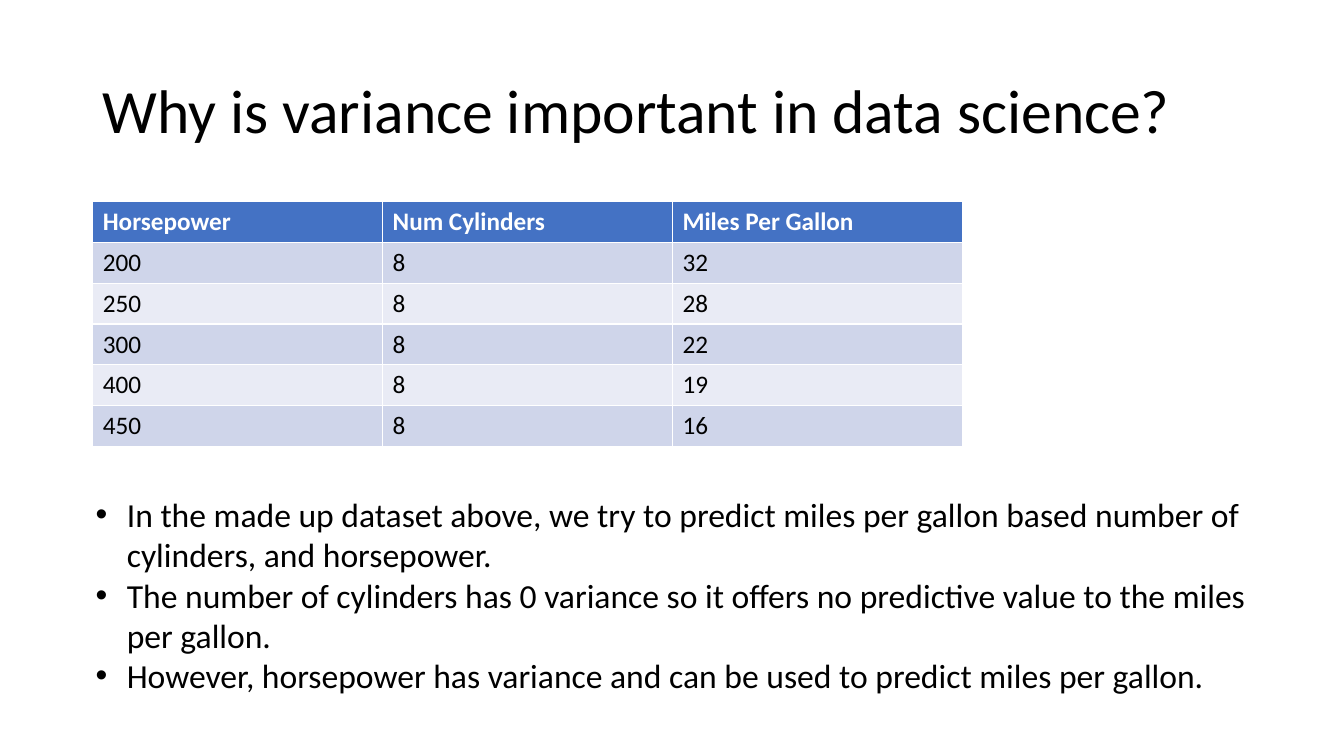
from dataclasses import dataclass

import pptx
import pptx.dml.color
import pptx.enum.text
import pptx.oxml
import pptx.oxml.ns
import pptx.util

Inches = pptx.util.Inches
Pt = pptx.util.Pt
RGBColor = pptx.dml.color.RGBColor
Anchor = pptx.enum.text.MSO_ANCHOR

BLACK = RGBColor(0x00, 0x00, 0x00)
WHITE = RGBColor(0xFF, 0xFF, 0xFF)
HEADER_BLUE = RGBColor(0x44, 0x72, 0xC4)
BANDS = (RGBColor(0xCF, 0xD5, 0xEA), RGBColor(0xE9, 0xEB, 0xF5))

HEADER_FONT = {"name": "Calibri", "size": Pt(18), "bold": True, "color": WHITE}
CELL_FONT = {"name": "Calibri", "size": Pt(18), "bold": False, "color": BLACK}

COL_W, ROW_H = 2.875, 0.405
BULLET_INDENT = Inches(0.31)

ROWS = [
    ("Horsepower", "Num Cylinders", "Miles Per Gallon"),
    ("200", "8", "32"),
    ("250", "8", "28"),
    ("300", "8", "22"),
    ("400", "8", "19"),
    ("450", "8", "16"),
]


@dataclass
class TextBlock:
    left: float
    top: float
    width: float
    height: float
    paragraphs: list[str]
    size: int
    anchor: Anchor = Anchor.TOP
    line_spacing: float = 1.0
    bullets: bool = False


TEXT_BLOCKS = [
    TextBlock(0.92, 0.4, 11.5, 1.45, ["Why is variance important in data science?"],
              44, anchor=Anchor.MIDDLE, line_spacing=0.9),
    TextBlock(0.85, 4.85, 11.63, 2.12, [
        "In the made up dataset above, we try to predict miles per gallon "
        "based number of cylinders, and horsepower.",
        "The number of cylinders has 0 variance so it offers no predictive "
        "value to the miles per gallon.",
        "However, horsepower has variance and can be used to predict miles per gallon.",
    ], 24, bullets=True),
]


def set_font(font: pptx.text.text.Font, fmt: dict) -> None:
    for name, value in fmt.items():
        if name == "color":
            font.color.rgb = value
        else:
            setattr(font, name, value)


def add_bullet(p: pptx.text.text._Paragraph) -> None:
    pPr = p._p.get_or_add_pPr()
    pPr.set("marL", str(BULLET_INDENT))
    pPr.set("indent", str(-BULLET_INDENT))
    ns = pptx.oxml.ns.nsdecls("a")
    pPr.append(pptx.oxml.parse_xml(f'<a:buFont {ns} typeface="Arial"/>'))
    pPr.append(pptx.oxml.parse_xml(f'<a:buChar {ns} char="•"/>'))


def add_text(s: pptx.slide.Slide, block: TextBlock) -> None:
    sp = s.shapes.add_textbox(Inches(block.left), Inches(block.top),
                              Inches(block.width), Inches(block.height))
    tf = sp.text_frame
    tf.word_wrap = True
    tf.vertical_anchor = block.anchor
    for i, text in enumerate(block.paragraphs):
        p = tf.add_paragraph() if i else tf.paragraphs[0]
        p.line_spacing = block.line_spacing
        if block.bullets:
            add_bullet(p)
        r = p.add_run()
        r.text = text
        set_font(r.font, {"name": "Calibri", "size": Pt(block.size), "color": BLACK})


def add_data_table(s: pptx.slide.Slide) -> None:
    n_rows, n_cols = len(ROWS), len(ROWS[0])
    table = s.shapes.add_table(n_rows, n_cols, Inches(0.92), Inches(2),
                               Inches(COL_W * n_cols), Inches(ROW_H * n_rows)).table
    for i, row in enumerate(ROWS):
        for j, text in enumerate(row):
            cell = table.cell(i, j)
            cell.fill.solid()
            cell.fill.fore_color.rgb = BANDS[(i - 1) % 2] if i else HEADER_BLUE
            r = cell.text_frame.paragraphs[0].add_run()
            r.text = text
            set_font(r.font, CELL_FONT if i else HEADER_FONT)


def main() -> None:
    prs = pptx.Presentation()
    prs.slide_width, prs.slide_height = Inches(13.33), Inches(7.5)
    s = prs.slides.add_slide(prs.slide_layouts[6])

    # Title above, bullets below
    for block in TEXT_BLOCKS:
        add_text(s, block)

    # Horsepower and mileage data
    add_data_table(s)

    prs.save("out.pptx")


if __name__ == "__main__":
    main()
